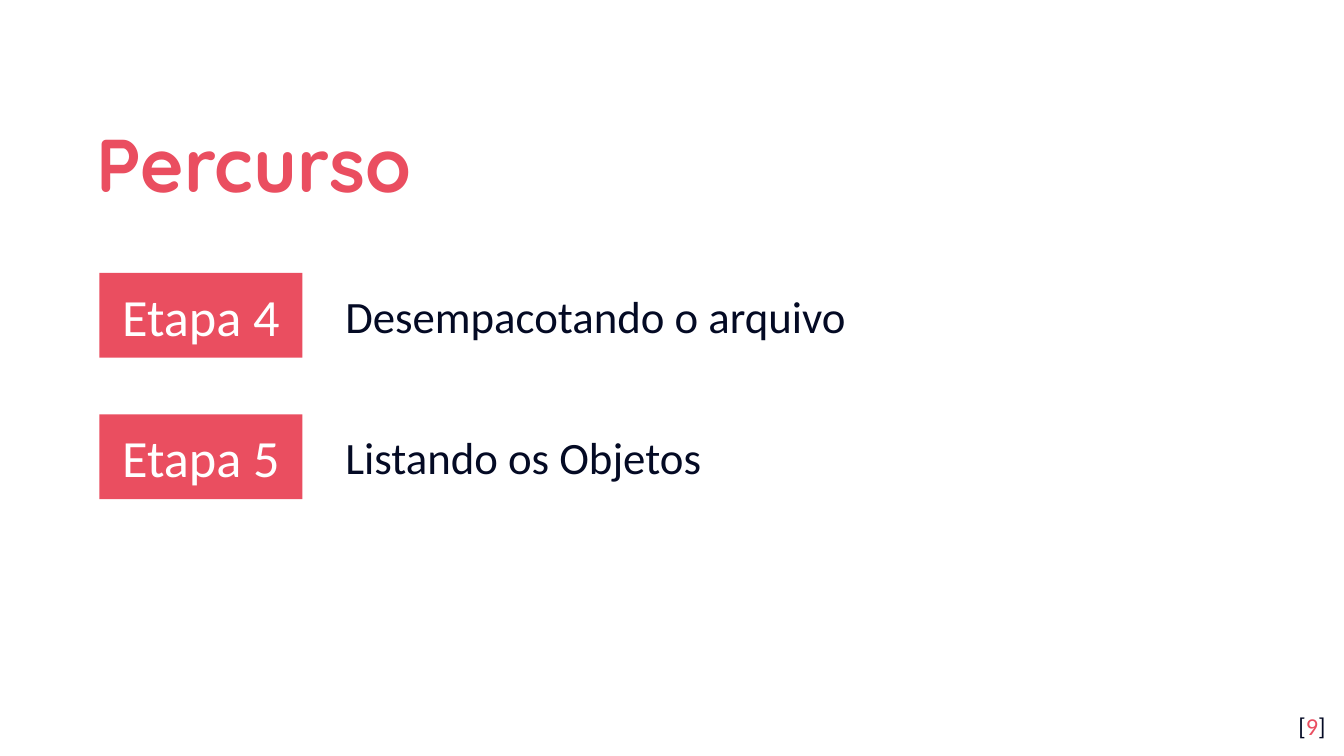
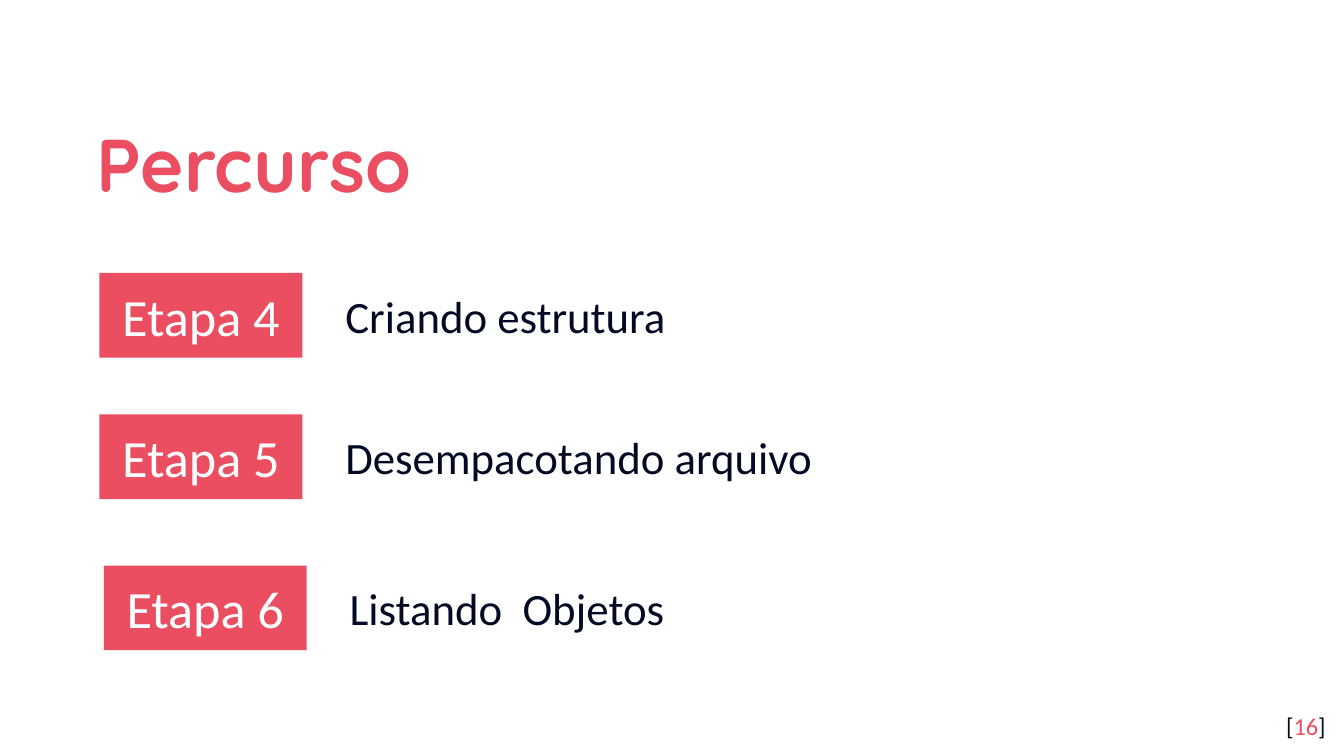
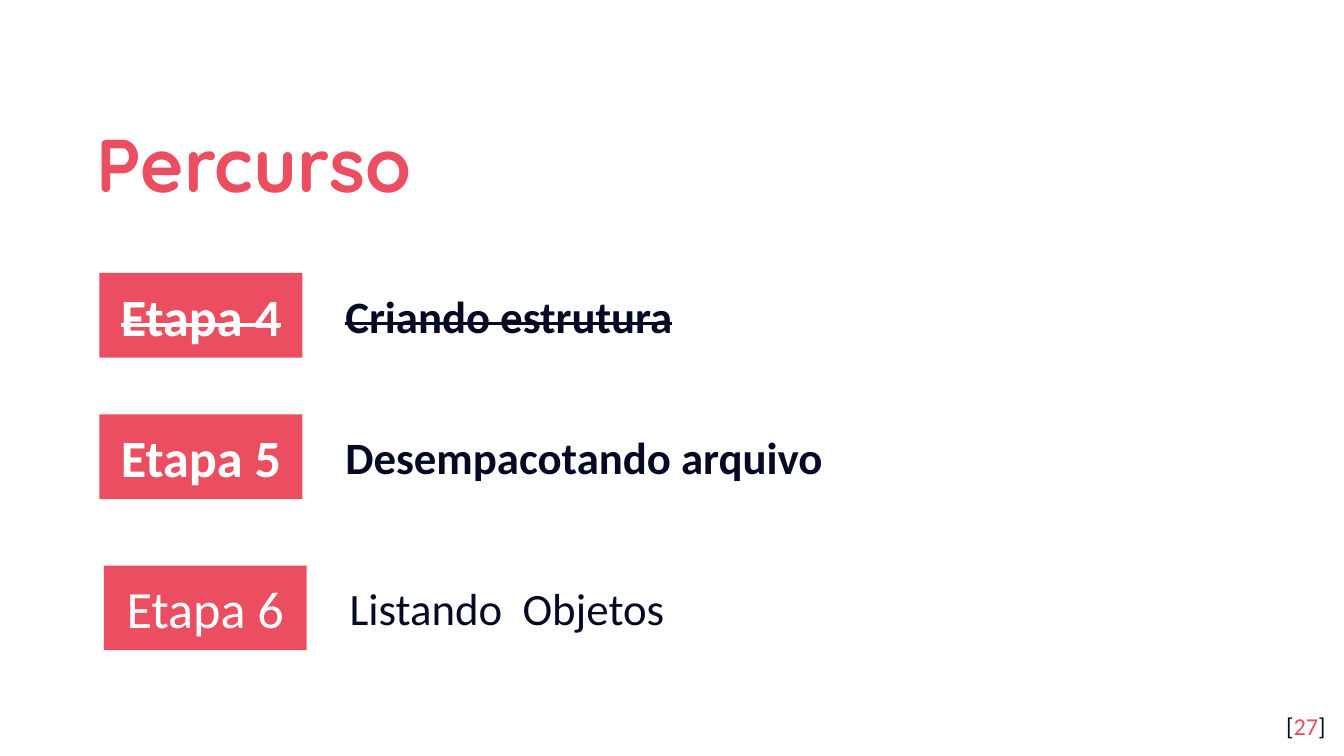
from pptx import Presentation
from pptx.dml.color import RGBColor
from pptx.enum.shapes import MSO_SHAPE
from pptx.enum.text import MSO_ANCHOR, MSO_AUTO_SIZE, PP_ALIGN
from pptx.util import Pt

RECT = MSO_SHAPE.RECTANGLE
TOP, MIDDLE = MSO_ANCHOR.TOP, MSO_ANCHOR.MIDDLE
NO_FIT = MSO_AUTO_SIZE.NONE
LEFT, CENTER, RIGHT = PP_ALIGN.LEFT, PP_ALIGN.CENTER, PP_ALIGN.RIGHT

RED = RGBColor(0xEA, 0x4E, 0x60)
NAVY = RGBColor(0x04, 0x0A, 0x24)
WHITE = RGBColor(0xFF, 0xFF, 0xFF)
TITLE_FONT, BODY_FONT = "Quicksand", "Calibri"

STEP_POSITIONS = [(53.3, 146.2), (53.3, 222), (55.6, 303)]
STEP_W, STEP_H = 108.7, 45.4
TOPIC_OFFSET, TOPIC_W, TOPIC_H = 124.6, 486, 36
FIRST_STEP = 4

DONE = {"bold": True, "strike": True}
CURRENT = {"bold": True}
PENDING = {}

SLIDES = [
    (9, [("Desempacotando o arquivo", PENDING),
         ("Listando os Objetos", PENDING)]),
    (16, [("Criando estrutura", PENDING),
          ("Desempacotando arquivo", PENDING),
          ("Listando  Objetos", PENDING)]),
    (27, [("Criando estrutura", DONE),
          ("Desempacotando arquivo", CURRENT),
          ("Listando  Objetos", PENDING)]),
]


def format_frame(tf, anchor, margin_y=7.2):
    tf.word_wrap = True
    tf.auto_size = NO_FIT
    tf.vertical_anchor = anchor
    tf.margin_left = tf.margin_right = Pt(7.2)
    tf.margin_top = tf.margin_bottom = Pt(margin_y)


def format_run(r, size, color, font=BODY_FONT, bold=False, strike=False):
    r.font.name = font
    r.font.size = Pt(size)
    r.font.color.rgb = color
    r.font.bold = bold
    if strike:
        r._r.get_or_add_rPr().set("strike", "sngStrike")


def write(tf, text, align, size, color, **style):
    tf.text = text
    p = tf.paragraphs[0]
    p.alignment = align
    format_run(p.runs[0], size, color, **style)
    return p


def add_title(slide, text):
    sp = slide.shapes.title
    sp.left, sp.top, sp.width, sp.height = Pt(44.6), Pt(50.4), Pt(583.2), Pt(66.2)
    format_frame(sp.text_frame, MIDDLE)
    p = write(sp.text_frame, text, LEFT, 40, RED, font=TITLE_FONT, bold=True)
    p.line_spacing = 1.15


def add_step_label(slide, x, y, text, style):
    sp = slide.shapes.add_shape(RECT, Pt(x), Pt(y), Pt(STEP_W), Pt(STEP_H))
    sp.shadow.inherit = False
    sp.fill.solid()
    sp.fill.fore_color.rgb = RED
    sp.line.fill.background()
    format_frame(sp.text_frame, MIDDLE)
    write(sp.text_frame, text, CENTER, 28, WHITE, **style)


def add_topic(slide, x, y, text, style):
    sp = slide.shapes.add_textbox(Pt(x), Pt(y), Pt(TOPIC_W), Pt(TOPIC_H))
    format_frame(sp.text_frame, TOP, margin_y=3.6)
    write(sp.text_frame, text, LEFT, 24, NAVY, **style)


def add_steps(slide, topics):
    for i, ((x, y), (topic, style)) in enumerate(zip(STEP_POSITIONS, topics)):
        add_step_label(slide, x, y, f"Etapa {FIRST_STEP + i}", style)
        topic_y = y + (STEP_H - TOPIC_H) / 2
        add_topic(slide, x + TOPIC_OFFSET, topic_y, topic, style)


def add_page_number(slide, number):
    sp = slide.shapes.add_textbox(Pt(674), Pt(373.7), Pt(43.2), Pt(31))
    tf = sp.text_frame
    format_frame(tf, TOP)
    p = tf.paragraphs[0]
    p.alignment = RIGHT
    for text, color in (("[", NAVY), (str(number), RED), ("]", NAVY)):
        r = p.add_run()
        r.text = text
        format_run(r, 13, color)


def main():
    prs = Presentation()
    prs.slide_width, prs.slide_height = Pt(720), Pt(405)
    title_only = prs.slide_layouts[5]
    for number, topics in SLIDES:
        slide = prs.slides.add_slide(title_only)
        add_title(slide, "Percurso")
        add_steps(slide, topics)
        add_page_number(slide, number)
    prs.save("out.pptx")


if __name__ == "__main__":
    main()
